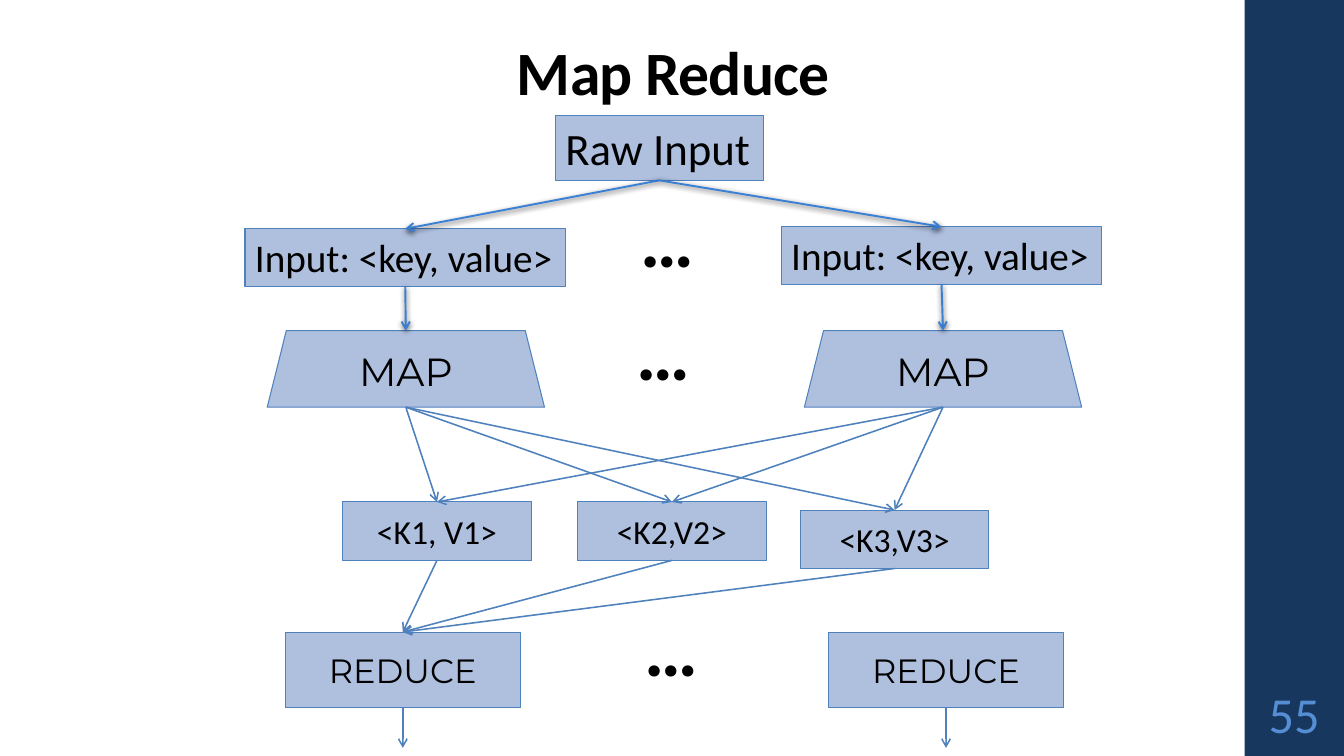
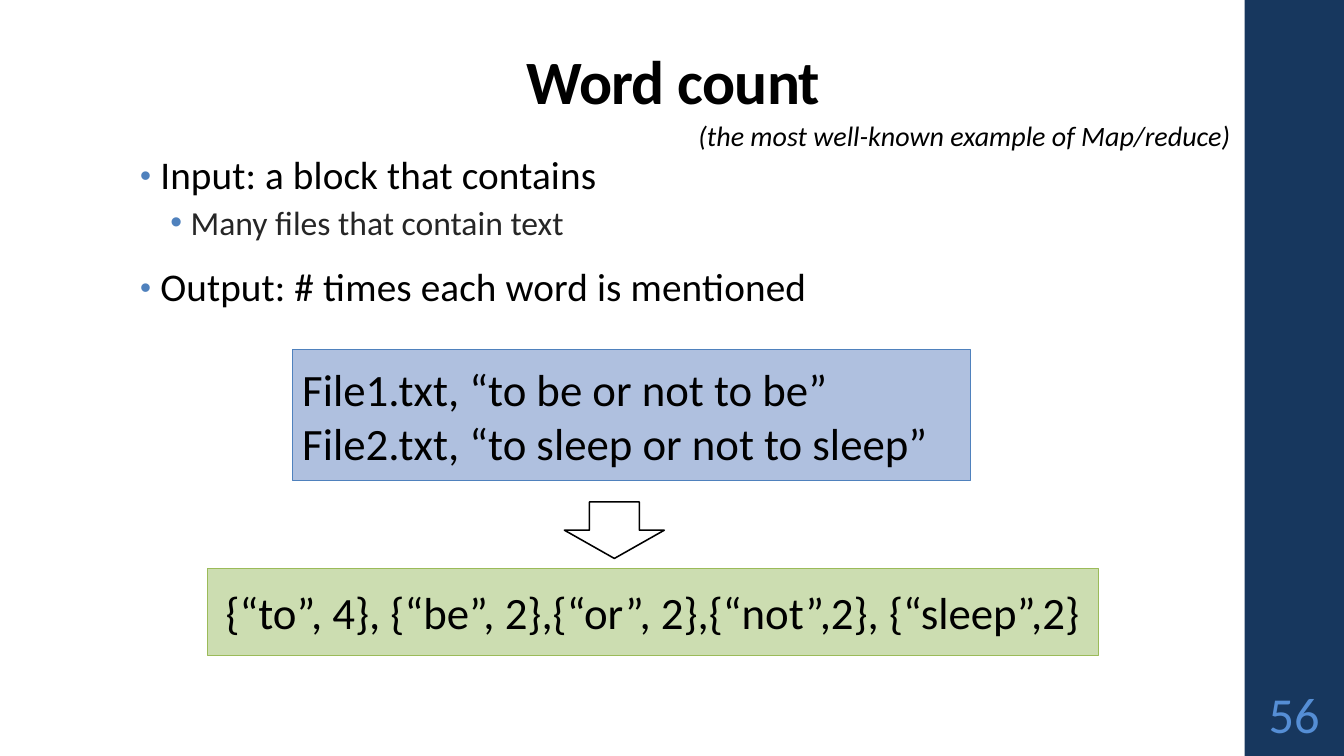
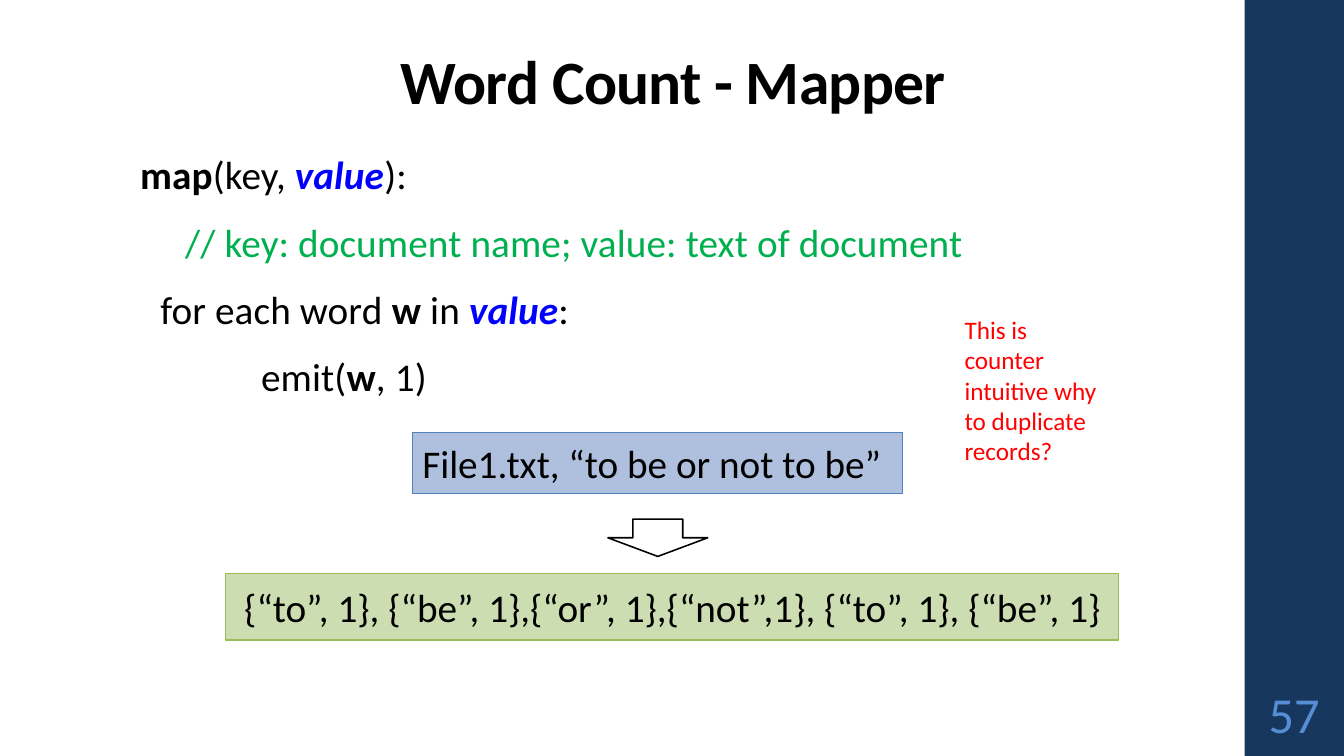
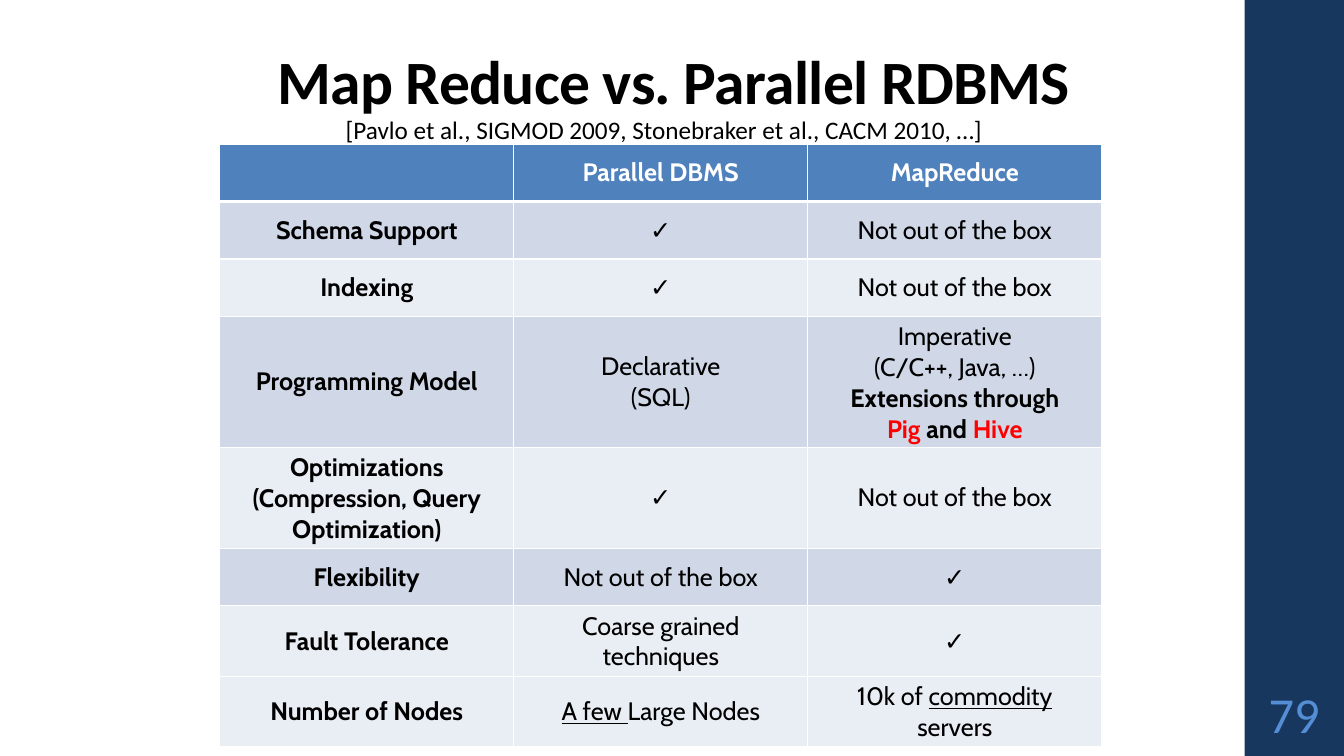
"""Builds four slides on Map Reduce, with lengths given as percentages of the slide's size."""
import pptx
import pptx.chart.data
import pptx.dml.color
import pptx.enum.shapes
import pptx.enum.text
import pptx.oxml
import pptx.oxml.ns
import pptx.util

SLIDE_WIDTH = pptx.util.Inches(13.33)
SLIDE_HEIGHT = pptx.util.Inches(7.5)
COLOURS = {
    "black": "000000", "white": "FFFFFF", "navy": "17375E", "number": "558ED5",
    "blue": "4F81BD", "blue_fill": "AFC0DF", "arrow": "327CD4",
    "green": "9BBB59", "green_fill": "CCDDB1", "grey": "262626",
    "value": "0000FF", "comment": "00B050", "red": "FF0000",
    "band_dark": "D0D8E8", "band_light": "E9EDF4",
}
SHAPES = pptx.enum.shapes.MSO_SHAPE
MIDDLE = pptx.enum.text.MSO_ANCHOR.MIDDLE
TOP = pptx.enum.text.MSO_ANCHOR.TOP
LEFT = pptx.enum.text.PP_ALIGN.LEFT
CENTER = pptx.enum.text.PP_ALIGN.CENTER
TITLE_ONLY, TITLE_AND_BODY = 5, 1
TITLE_TOP = 5.33
BODY_AREA = (9.68, 19.73, 79.5, 71.33)
BOTTOM_SITE, TOP_SITE = 2, 0


def across(share):
    """Turn a percentage of the slide's width into a length."""
    return int(SLIDE_WIDTH * share / 100)


def down(share):
    """Turn a percentage of the slide's height into a length."""
    return int(SLIDE_HEIGHT * share / 100)


def place(area):
    """Turn left, top, width and height percentages into lengths."""
    left, top, width, height = area
    return across(left), down(top), across(width), down(height)


def rgb(colour):
    """Look up a named colour."""
    return pptx.dml.color.RGBColor.from_string(COLOURS[colour])


def xml(markup):
    """Parse an element of the drawing namespace."""
    opening = markup.replace(">", f' {pptx.oxml.ns.nsdecls("a")}>', 1)
    if markup.endswith("/>") and markup.count(">") == 1:
        opening = markup[:-2] + f' {pptx.oxml.ns.nsdecls("a")}/>'
    return pptx.oxml.parse_xml(opening)


def write_paragraph(paragraph, content, size, font="Calibri", colour="black", bold=False,
                    italic=False, underline=False, align=LEFT, spacing=0):
    """Write a string, or a list of (text, style changes) pairs, into a paragraph."""
    paragraph.alignment = align
    base = {"colour": colour, "bold": bold, "italic": italic, "underline": underline}
    pieces = [(content, {})] if isinstance(content, str) else content
    for text, changes in pieces:
        style = {**base, **changes}
        run = paragraph.add_run()
        run.text = text
        run.font.size = pptx.util.Pt(size)
        run.font.name = font
        run.font.color.rgb = rgb(style["colour"])
        run.font.bold = style["bold"]
        run.font.italic = style["italic"]
        run.font.underline = style["underline"]
        if spacing:
            run.font._element.set("spc", str(spacing))


def write(text_frame, contents, size, **style):
    """Write one paragraph for each content."""
    for index, content in enumerate(contents):
        paragraph = text_frame.add_paragraph() if index else text_frame.paragraphs[0]
        write_paragraph(paragraph, content, size, **style)


def add_box(slide, area, contents, size, fill="blue_fill", line="blue", kind=SHAPES.RECTANGLE,
            anchor=MIDDLE, wrap=True, **style):
    """Add a filled, outlined shape with text."""
    shape = slide.shapes.add_shape(kind, *place(area))
    shape.shadow.inherit = False
    shape.fill.solid()
    shape.fill.fore_color.rgb = rgb(fill)
    shape.line.color.rgb = rgb(line)
    shape.line.width = pptx.util.Pt(0.75)
    shape.text_frame.word_wrap = wrap
    shape.text_frame.vertical_anchor = anchor
    write(shape.text_frame, contents, size, **style)
    return shape


def add_label(slide, area, text, size, wrap=False, **style):
    """Add a plain text box."""
    text_frame = slide.shapes.add_textbox(*place(area)).text_frame
    text_frame.word_wrap = wrap
    write(text_frame, [text], size, **style)
    return text_frame


def add_down_arrow(slide, area):
    """Add a white block arrow that points down."""
    shape = add_box(slide, area, [], 18, fill="white", line="black", kind=SHAPES.DOWN_ARROW)
    shape.line.width = pptx.util.Pt(1.1)


def add_arrow(slide, source, target=None, end_top=0, shadowed=False):
    """Add an arrow from a shape's bottom to a target's top, or straight down to a height."""
    center = source.left + source.width // 2
    bottom = source.top + source.height
    connector = slide.shapes.add_connector(
        pptx.enum.shapes.MSO_CONNECTOR.STRAIGHT, center, bottom, center, down(end_top))
    connector.begin_connect(source, BOTTOM_SITE)
    if target is not None:
        connector.end_connect(target, TOP_SITE)
    connector.line.color.rgb = rgb("arrow" if shadowed else "blue")
    connector.line.width = pptx.util.Pt(1.35 if shadowed else 1.1)
    line = connector.line._get_or_add_ln()
    line.append(xml('<a:tailEnd type="arrow"/>'))
    effects = xml("<a:effectLst/>")
    if shadowed:
        line.find(".//" + pptx.oxml.ns.qn("a:srgbClr")).append(xml('<a:alpha val="95000"/>'))
        effects.append(xml(
            '<a:outerShdw blurRad="50800" dist="15240" dir="5400000">'
            f'<a:srgbClr val="{COLOURS["black"]}"><a:alpha val="75000"/></a:srgbClr>'
            '</a:outerShdw>'))
    connector.element.spPr.append(effects)


def add_master_band(slide):
    """Put the navy side band on the master of a slide."""
    band = add_box(slide, (92.6, 0, 7.4, 100), [], 18, fill="navy")
    band.line.fill.background()
    band.element.nvSpPr.cNvPr.set("id", "20")
    slide.slide_layout.slide_master.shapes.element.append(band.element)


def add_slide(presentation, title, number, layout=TITLE_ONLY, title_top=TITLE_TOP):
    """Add a slide with its title and number."""
    slide = presentation.slides.add_slide(presentation.slide_layouts[layout])
    shape = slide.shapes.title
    shape.left, shape.top, shape.width, shape.height = place((10.35, title_top, 79.5, 10.93))
    shape.text_frame.auto_size = pptx.enum.text.MSO_AUTO_SIZE.NONE
    shape.text_frame.vertical_anchor = pptx.enum.text.MSO_ANCHOR.BOTTOM
    write(shape.text_frame, [title], 44, bold=True, align=CENTER, spacing=-50)
    shape.text_frame.paragraphs[0].line_spacing = 0.9
    text_frame = add_label(slide, (92.6, 90, 7.4, 8.67), number, 36, wrap=True,
                           colour="number", align=CENTER)
    text_frame.vertical_anchor = MIDDLE
    text_frame.margin_left = text_frame.margin_right = pptx.util.Inches(0.05)
    return slide


def set_indent(paragraph, margin, hanging=0, bullet_size=None):
    """Set a paragraph's indent in percent of the width, with a bullet if it has a size."""
    properties = paragraph._p.get_or_add_pPr()
    properties.set("marL", str(across(margin)))
    properties.set("indent", str(-across(hanging)))
    if bullet_size is None:
        properties.append(xml("<a:buNone/>"))
        return
    properties.append(xml(f'<a:buClr><a:srgbClr val="{COLOURS["blue"]}"/></a:buClr>'))
    properties.append(xml(f'<a:buSzPct val="{bullet_size * 1000}"/>'))
    properties.append(xml('<a:buFont typeface="Arial"/>'))
    properties.append(xml('<a:buChar char="•"/>'))


def fill_body(slide, lines):
    """Fill the body placeholder with (content, level, indent settings) lines."""
    body = slide.placeholders[1]
    body.left, body.top, body.width, body.height = place(BODY_AREA)
    text_frame = body.text_frame
    text_frame.auto_size = pptx.enum.text.MSO_AUTO_SIZE.NONE
    for index, (content, level, indent) in enumerate(lines):
        paragraph = text_frame.add_paragraph() if index else text_frame.paragraphs[0]
        paragraph.level = level
        set_indent(paragraph, **indent)
        paragraph.line_spacing = 0.9 if level else 0.95
        before = 3 if level else 14
        paragraph.space_before = pptx.util.Pt(before if index else 0)
        paragraph.space_after = pptx.util.Pt(3 if level else 2)
        if level:
            write_paragraph(paragraph, content, 24, colour="grey")
        else:
            write_paragraph(paragraph, content, 28, spacing=10)


def set_borders(cell, top, bottom):
    """Give a cell white borders, with top and bottom widths in points."""
    properties = cell._tc.get_or_add_tcPr()
    for side, width in (("L", 1), ("R", 1), ("T", top), ("B", bottom)):
        properties.append(xml(
            f'<a:ln{side} w="{pptx.util.Pt(width)}"><a:solidFill>'
            f'<a:srgbClr val="{COLOURS["white"]}"/></a:solidFill></a:ln{side}>'))


def add_comparison(slide, area, heights, fills, rows):
    """Add a table with a header row and a bold first column."""
    frame = slide.shapes.add_table(len(rows), len(rows[0]), *place(area))
    table = frame.table
    table.horz_banding = False
    for row_index, contents in enumerate(rows):
        table.rows[row_index].height = down(heights[row_index])
        header = row_index == 0
        for column_index, paragraphs in enumerate(contents):
            cell = table.cell(row_index, column_index)
            set_borders(cell, 3 if row_index == 1 else 1, 3 if header else 1)
            cell.fill.solid()
            cell.fill.fore_color.rgb = rgb(fills[row_index])
            cell.vertical_anchor = MIDDLE
            write(cell.text_frame, paragraphs, 18, font="Cabin", align=CENTER,
                  colour="white" if header else "black", bold=header or column_index == 0)


def build_flow(presentation):
    """Build the diagram of the Map Reduce flow."""
    slide = add_slide(presentation, "Map Reduce", "55", title_top=4.13)
    add_master_band(slide)
    raw = add_box(slide, (41.33, 15.33, 15.45, 8.53), ["Raw Input"], 32, anchor=TOP, wrap=False)
    inputs = [add_box(slide, (left, top, 23.85, 7.6), ["Input: <key, value>"], 28,
                      anchor=TOP, wrap=False)
              for left, top in ((18.23, 30.27), (58.13, 30))]
    maps = [add_box(slide, (left, 43.73, 20.63, 10.13), ["MAP"], 28, kind=SHAPES.TRAPEZOID,
                    font="Montserrat", align=CENTER)
            for left in (19.88, 59.85)]
    pairs = [add_box(slide, (left, top, 14.03, 7.73), [text], 24, align=CENTER)
             for left, top, text in ((25.5, 66.4, "<K1, V1>"), (42.98, 66.4, "<K2,V2>"),
                                     (59.55, 67.47, "<K3,V3>"))]
    reducers = [add_box(slide, (left, 83.6, 17.48, 10), ["REDUCE"], 24, kind=SHAPES.TRAPEZOID,
                        font="Montserrat", align=CENTER)
                for left in (21.23, 61.65)]
    for reducer in reducers:
        reducer.adjustments[0] = 0
        add_arrow(slide, reducer, end_top=98.93)
    for input_box, map_box in zip(inputs, maps):
        add_arrow(slide, raw, input_box, shadowed=True)
        add_arrow(slide, input_box, map_box, shadowed=True)
        for pair in pairs:
            add_arrow(slide, map_box, pair)
    for pair in pairs:
        add_arrow(slide, pair, reducers[0])
    for left, top in ((46.88, 24.67), (46.65, 39.73), (47.25, 78.8)):
        add_label(slide, (left, top, 5.55, 13.47), "…", 54, bold=True)


def build_word_count(presentation):
    """Build the word count example."""
    slide = add_slide(presentation, "Word count", "56", TITLE_AND_BODY)
    bullet = {"margin": 1.5, "hanging": 1.5, "bullet_size": 80}
    fill_body(slide, [
        ("Input: a block that contains", 0, bullet),
        ("Many files that contain text", 1, {"margin": 3.75, "hanging": 1.5, "bullet_size": 100}),
        ("Output: # times each word is mentioned", 0, bullet),
    ])
    add_label(slide, (51.23, 15.07, 41.4, 5.87),
              "(the most well-known example of Map/reduce)", 20, italic=True)
    add_box(slide, (21.75, 46.27, 50.48, 17.33),
            ["File1.txt, “to be or not to be”", "File2.txt, “to sleep or not to sleep”"], 32)
    add_box(slide, (15.45, 75.2, 66.3, 11.47),
            ["{“to”, 4}, {“be”, 2},{“or”, 2},{“not”,2}, {“sleep”,2}"], 32,
            fill="green_fill", line="green", align=CENTER)
    add_down_arrow(slide, (42, 66.4, 7.43, 7.47))


def build_mapper(presentation):
    """Build the mapper's pseudocode and its example."""
    slide = add_slide(presentation, "Word Count - Mapper", "57", TITLE_AND_BODY)
    bold = {"bold": True}
    value = ("value", {"colour": "value", "bold": True, "italic": True})
    fill_body(slide, [
        ([("map", bold), ("(key, ", {}), value, ("):", {})], 0, {"margin": 0}),
        ([("// key: document name; value: text of document", {"colour": "comment"})], 0,
         {"margin": 3.35}),
        ([("for each word ", {}), ("w", bold), (" in ", {}), value, (":", {})], 0,
         {"margin": 1.5}),
        ([("emit(", {}), ("w", bold), (", 1)", {})], 0, {"margin": 9}),
    ])
    add_box(slide, (30.68, 57.2, 36.45, 8.13), ["File1.txt, “to be or not to be”"], 28)
    add_box(slide, (16.8, 75.87, 66.45, 8.8),
            ["{“to”, 1}, {“be”, 1},{“or”, 1},{“not”,1}, {“to”, 1}, {“be”, 1}"], 28,
            fill="green_fill", line="green", align=CENTER)
    add_down_arrow(slide, (45.23, 68.67, 7.43, 4.93))
    add_label(slide, (71.03, 40.93, 12.15, 21.6),
              "This is counter intuitive why to duplicate records?", 18, wrap=True, colour="red")


def build_comparison(presentation):
    """Build the comparison with parallel databases."""
    slide = add_slide(presentation, "Map Reduce vs. Parallel RDBMS", "79")
    add_label(slide, (24.98, 14.4, 50.33, 5.33),
              "[Pavlo et al., SIGMOD 2009, Stonebraker et al., CACM 2010, …]", 18, wrap=True)
    check, missing = ["✓"], ["Not out of the box"]
    bold, red = {"bold": True}, {"bold": True, "colour": "red"}
    underlined = {"underline": True}
    imperative = ["Imperative", "(C/C++, Java, …)", [("Extensions through", bold)],
                  [("Pig", red), (" and ", bold), ("Hive", red)]]
    few_nodes = [[("A few ", underlined), ("Large Nodes", {})]]
    many_nodes = [[("10k of ", {}), ("commodity", underlined), (" servers", {})]]
    add_comparison(
        slide, (16.35, 19.07, 65.63, 78.27),
        [7.6, 7.6, 7.6, 16.8, 12.93, 7.6, 9.07, 9.07],
        ["blue"] + ["band_dark", "band_light"] * 3 + ["band_light"],
        [
            [[], ["Parallel DBMS"], ["MapReduce"]],
            [["Schema Support"], check, missing],
            [["Indexing"], check, missing],
            [["Programming Model"], ["Declarative", "(SQL)"], imperative],
            [["Optimizations (Compression, Query Optimization)"], check, missing],
            [["Flexibility"], missing, check],
            [["Fault Tolerance"], ["Coarse grained techniques"], check],
            [["Number of Nodes"], few_nodes, many_nodes],
        ])


def main():
    """Build and save the presentation."""
    presentation = pptx.Presentation()
    presentation.slide_width = SLIDE_WIDTH
    presentation.slide_height = SLIDE_HEIGHT
    build_flow(presentation)
    build_word_count(presentation)
    build_mapper(presentation)
    build_comparison(presentation)
    presentation.save("out.pptx")


if __name__ == "__main__":
    main()
